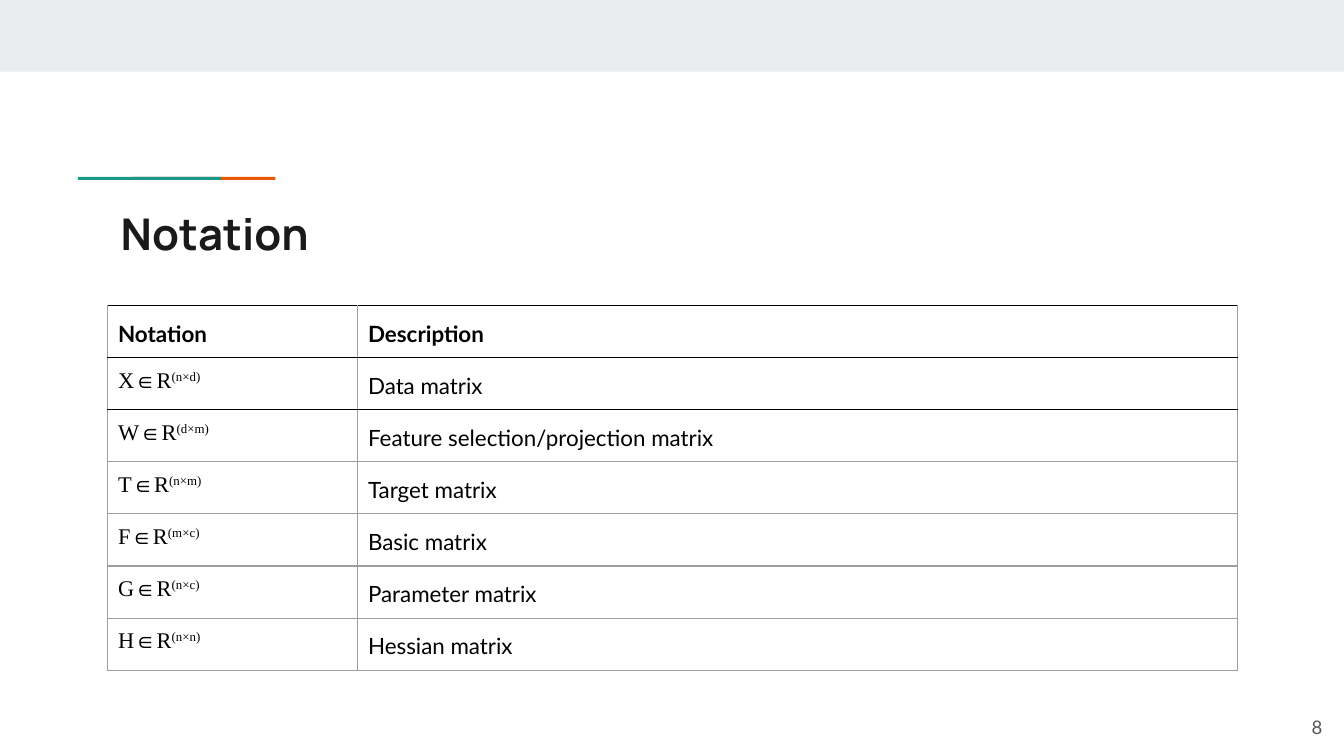
from pptx import Presentation
from pptx.dml.color import RGBColor
from pptx.enum.shapes import MSO_SHAPE
from pptx.enum.text import MSO_ANCHOR, PP_ALIGN
from pptx.oxml import parse_xml
from pptx.oxml.ns import nsdecls
from pptx.util import Inches, Pt

COLORS = {
    "band": "E9EDEE", "teal": "1A9988", "orange": "EB5600", "title": "1A1A1A",
    "ink": "000000", "grid": "9E9E9E", "number": "595959",
}
HEADINGS = ["Notation", "Description"]
SYMBOLS = [
    ("X∈R", "(n×d)", "Data matrix"),
    ("W∈R", "(d×m)", "Feature selection/projection matrix"),
    ("T∈R", "(n×m)", "Target matrix"),
    ("F∈R", "(m×c)", "Basic matrix"),
    ("G∈R", "(n×c)", "Parameter matrix"),
    ("H∈R", "(n×n)", "Hessian matrix"),
]

deck = Presentation()
deck.slide_width, deck.slide_height = Inches(10), Inches(5.625)
slide = deck.slides.add_slide(deck.slide_layouts[6])


def place(left, top, width, height):
    across, down = deck.slide_width / 100, deck.slide_height / 100
    return int(left * across), int(top * down), int(width * across), int(height * down)


def add_run(paragraph, text, font, size, color, bold=False):
    run = paragraph.add_run()
    run.text = text
    run.font.name, run.font.size, run.font.bold = font, Pt(size), bold
    run.font.color.rgb = RGBColor.from_string(COLORS[color])
    return run


for color, area in [
    ("band", (0, 0, 100, 9.48)),
    ("orange", (9.85, 23.4, 10.65, 0.4)),
    ("teal", (5.8, 23.4, 10.65, 0.4)),
]:
    strip = slide.shapes.add_shape(MSO_SHAPE.RECTANGLE, *place(*area))
    strip.shadow.inherit = False
    strip.fill.solid()
    strip.fill.fore_color.rgb = RGBColor.from_string(COLORS[color])
    strip.line.fill.background()

for text, area, font, size, color, bold, align, anchor in [
    ("Notation", (8, 25.6, 84.1, 10.5), "Manrope", 23.4, "title", True,
     PP_ALIGN.LEFT, MSO_ANCHOR.TOP),
    ("8", (93.37, 92.36, 6, 7.64), "Lato", 10, "number", False,
     PP_ALIGN.RIGHT, MSO_ANCHOR.MIDDLE),
]:
    frame = slide.shapes.add_textbox(*place(*area)).text_frame
    frame.word_wrap = True
    frame.vertical_anchor = anchor
    frame.margin_left = frame.margin_right = Inches(0.1)
    frame.margin_top = frame.margin_bottom = Inches(0.1)
    frame.paragraphs[0].alignment = align
    add_run(frame.paragraphs[0], text, font, size, color, bold)

glossary = slide.shapes.add_table(
    len(SYMBOLS) + 1, len(HEADINGS), *place(8, 40.4, 84.1, 43.6)).table
glossary.first_row = glossary.horz_banding = False
for column, share in zip(glossary.columns, (18.6, 65.5)):
    column.width = int(share * deck.slide_width / 100)
for row in glossary.rows:
    row.height = Inches(0.35)

for column, heading in enumerate(HEADINGS):
    add_run(glossary.cell(0, column).text_frame.paragraphs[0],
            heading, "Lato", 12, "ink", True)
for number, (symbol, dimensions, meaning) in enumerate(SYMBOLS, 1):
    formula = glossary.cell(number, 0).text_frame.paragraphs[0]
    add_run(formula, symbol, "Times New Roman", 12, "ink")
    exponent = add_run(formula, dimensions, "Times New Roman", 12, "ink")
    exponent.font._element.set("baseline", "30000")
    add_run(glossary.cell(number, 1).text_frame.paragraphs[0],
            meaning, "Lato", 12, "ink")

for number in range(len(SYMBOLS) + 1):
    for column in range(len(HEADINGS)):
        cell = glossary.cell(number, column)
        cell.margin_left = cell.margin_right = Pt(5.68)
        cell.margin_top = cell.margin_bottom = Pt(5.68)
        if number == 0 or column == 1:
            cell.text_frame.paragraphs[0].line_spacing = 1.15
        properties = cell._tc.get_or_add_tcPr()
        top = "ink" if number <= 2 else "grid"
        bottom = "ink" if number <= 1 else "grid"
        for side, color in zip("LRTB", ("grid", "grid", top, bottom)):
            weight = Pt(0.95 if color == "ink" else 0.75)
            properties.append(parse_xml(
                f'<a:ln{side} {nsdecls("a")} w="{weight}"><a:solidFill>'
                f'<a:srgbClr val="{COLORS[color]}"/></a:solidFill></a:ln{side}>'))
        cell.fill.background()

deck.save("out.pptx")
